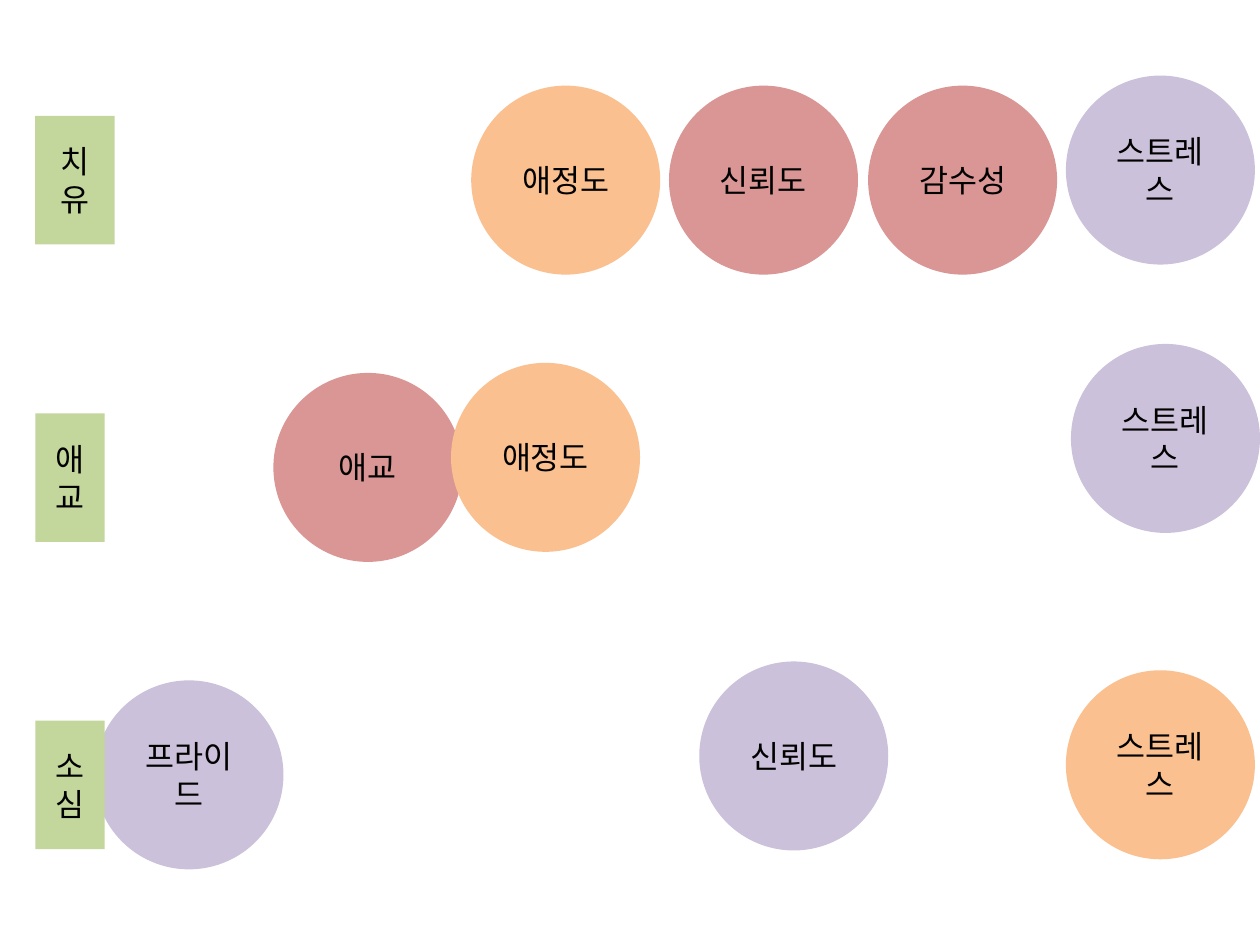
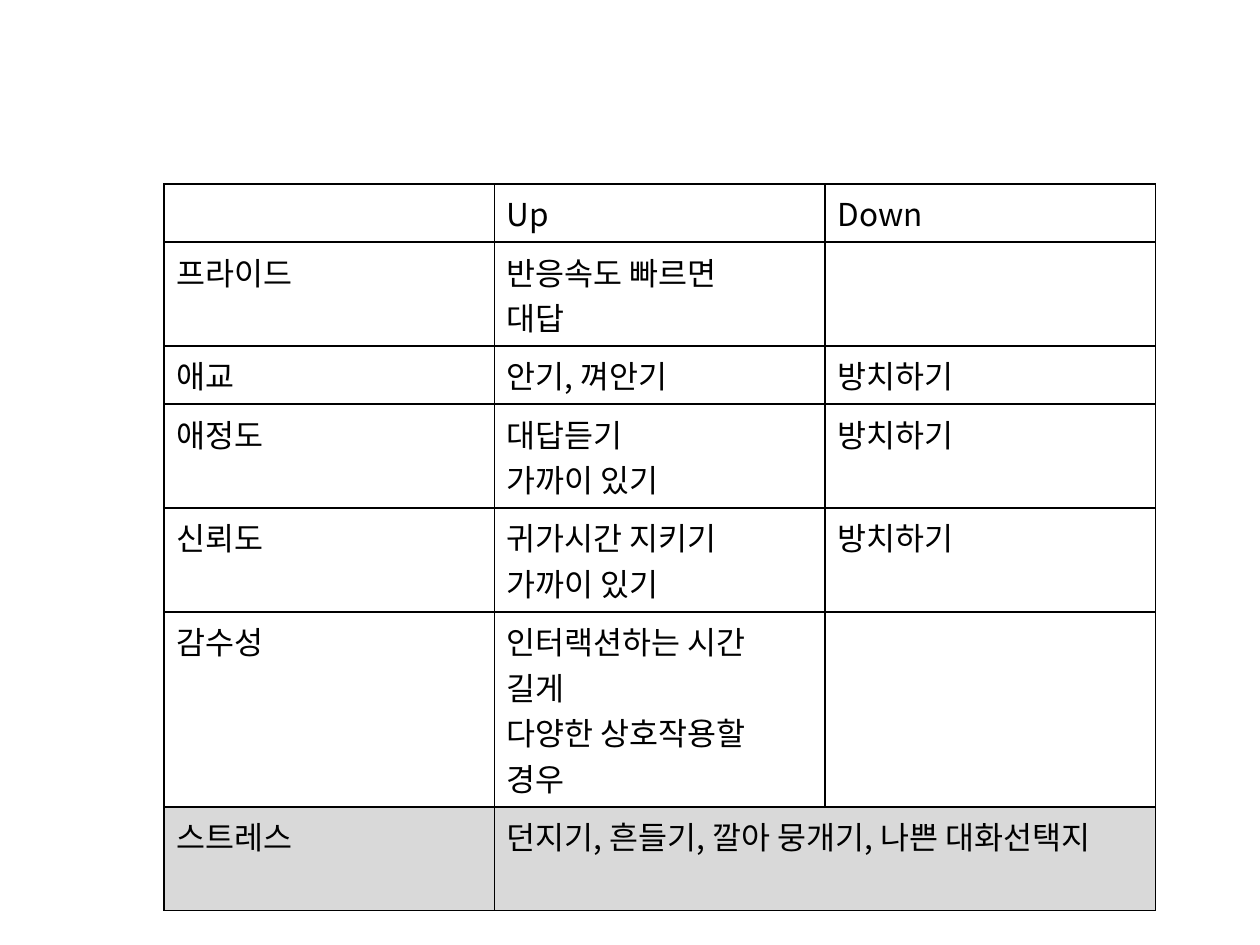
from pptx import Presentation
from pptx.dml.color import RGBColor
from pptx.enum.shapes import MSO_SHAPE as Shape
from pptx.enum.text import MSO_ANCHOR as Anchor, PP_ALIGN as Align
from pptx.oxml import parse_xml
from pptx.oxml.ns import nsdecls
from pptx.util import Inches, Pt

# Shared style
FONT = "Noto Sans CJK KR"
BLACK, WHITE, GREY = "000000", "FFFFFF", "D9D9D9"
GREEN, ROSE, ORANGE, LILAC = "C3D69B", "D99694", "FAC090", "CCC1DA"
CIRCLE_SIZE = 1.5
LABEL_LEFT, LABEL_HEIGHT = 0.28, 1.02

# Personality label: (text, top, width), then its traits: (text, left, top, colour)
PERSONALITIES = [
    (("치유", 0.92, 0.63), [
        ("애정도", 3.74, 0.68, ORANGE),
        ("신뢰도", 5.31, 0.68, ROSE),
        ("감수성", 6.89, 0.68, ROSE),
        ("스트레스", 8.46, 0.6, LILAC)]),
    (("애교", 3.28, 0.55), [
        ("애교", 2.17, 2.96, ROSE),
        ("애정도", 3.58, 2.88, ORANGE),
        ("스트레스", 8.5, 2.73, LILAC)]),
    (("소심", 5.72, 0.55), [
        ("프라이드", 0.75, 5.4, LILAC),
        ("신뢰도", 5.55, 5.25, LILAC),
        ("스트레스", 8.46, 5.32, ORANGE)]),
]

# Trait, what raises it, what lowers it
TRAIT_RULES = [
    ("", "Up", "Down"),
    ("프라이드", "반응속도 빠르면\n대답", ""),
    ("애교", "안기, 껴안기", "방치하기"),
    ("애정도", "대답듣기\n가까이 있기", "방치하기"),
    ("신뢰도", "귀가시간 지키기\n가까이 있기", "방치하기"),
    ("감수성", "인터랙션하는 시간 길게\n다양한 상호작용할 경우", ""),
    ("스트레스", "던지기, 흔들기, 깔아 뭉개기, 나쁜 대화선택지", ""),
]


def rgb(hex_colour):
    return RGBColor.from_string(hex_colour)


def fill_with(target, hex_colour):
    target.fill.solid()
    target.fill.fore_color.rgb = rgb(hex_colour)


def style_text(frame, align):
    for paragraph in frame.paragraphs:
        paragraph.alignment = align
        paragraph.font.name = FONT
        paragraph.font.size = Pt(18)
        paragraph.font.color.rgb = rgb(BLACK)


def add_block(slide, preset, text, left, top, width, height, colour):
    block = slide.shapes.add_shape(
        preset, Inches(left), Inches(top), Inches(width), Inches(height))
    block.shadow.inherit = False
    fill_with(block, colour)
    block.line.fill.background()
    frame = block.text_frame
    frame.text = text
    frame.word_wrap = True
    frame.vertical_anchor = Anchor.MIDDLE
    style_text(frame, Align.CENTER)


def set_borders(cell):
    properties = cell._tc.get_or_add_tcPr()
    for position, side in enumerate(("lnL", "lnR", "lnT", "lnB")):
        properties.insert(position, parse_xml(
            f'<a:{side} {nsdecls("a")} w="{Pt(1)}"><a:solidFill>'
            f'<a:srgbClr val="{BLACK}"/></a:solidFill></a:{side}>'))


def set_east_asian_font(frame):
    for paragraph in frame.paragraphs:
        for run in paragraph.runs:
            run.font.name = FONT
            run.font._element.append(parse_xml(
                f'<a:ea {nsdecls("a")} typeface="{FONT}"/>'))


def add_rules_table(slide, rules, left, top, width, row_height):
    rows, columns = len(rules), len(rules[0])
    table = slide.shapes.add_table(
        rows, columns, Inches(left), Inches(top),
        Inches(width), Inches(row_height * rows)).table
    for row, texts in enumerate(rules):
        for column, text in enumerate(texts):
            cell = table.cell(row, column)
            cell.text = text
            cell.margin_right = Inches(0.16)
            style_text(cell.text_frame, Align.LEFT)
            set_east_asian_font(cell.text_frame)
            fill_with(cell, GREY if row == rows - 1 else WHITE)
            set_borders(cell)
    # Stress has one rule across both directions
    table.cell(rows - 1, 1).merge(table.cell(rows - 1, 2))


def build_personality_slide(slide):
    for (label, label_top, label_width), traits in PERSONALITIES:
        for text, left, top, colour in traits:
            add_block(slide, Shape.OVAL, text, left, top,
                      CIRCLE_SIZE, CIRCLE_SIZE, colour)
        add_block(slide, Shape.RECTANGLE, label, LABEL_LEFT, label_top,
                  label_width, LABEL_HEIGHT, GREEN)


def main():
    deck = Presentation()
    deck.slide_width, deck.slide_height = Inches(10), Inches(7.5)
    blank = deck.slide_layouts[6]
    build_personality_slide(deck.slides.add_slide(blank))
    add_rules_table(deck.slides.add_slide(blank), TRAIT_RULES,
                    left=1.3, top=1.46, width=7.87, row_height=0.41)
    deck.save("out.pptx")


main()
